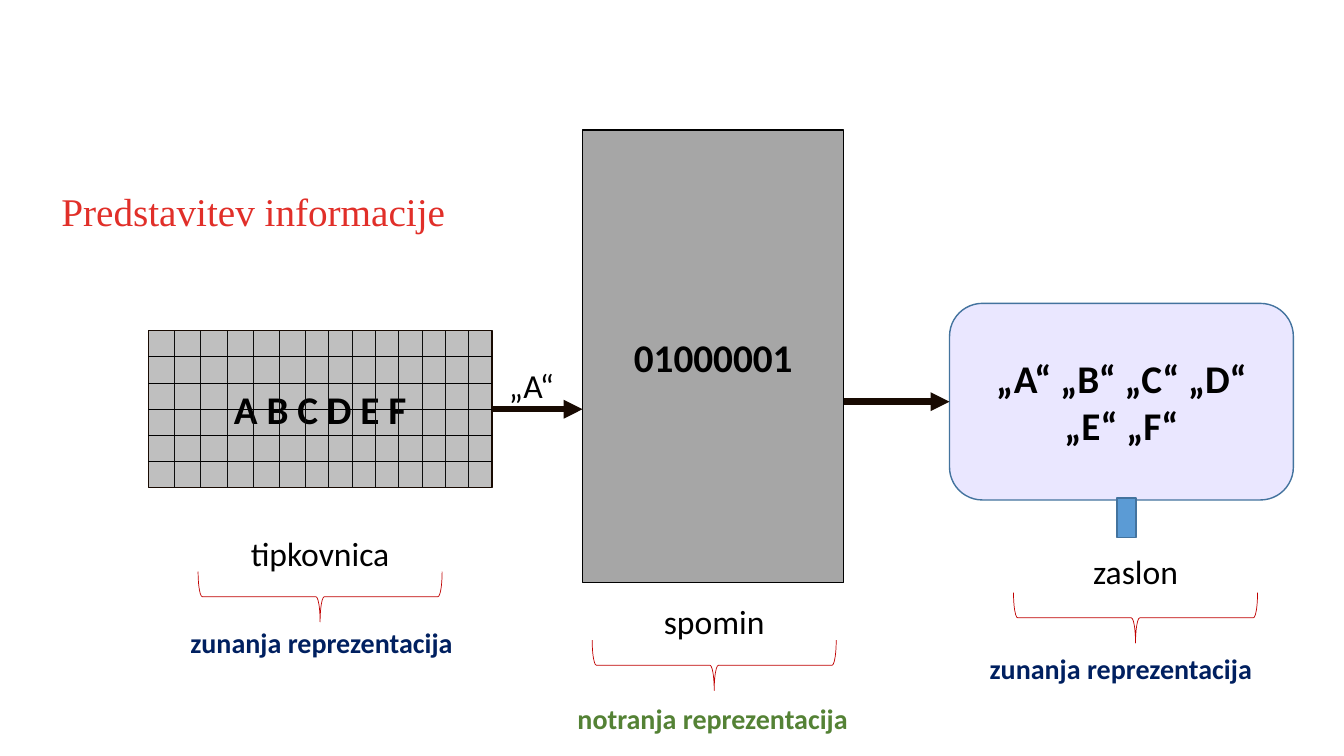
from lxml import etree
from pptx import Presentation
from pptx import util as u
from pptx.dml.color import RGBColor
from pptx.enum import shapes, text
from pptx.oxml.ns import qn

COLORS = {
    "title": "E12F29", "black": "000000", "memory": "A6A6A6", "keyboard": "BFBFBF",
    "screen": "EAE7FF", "stand": "5B9BD5", "edge": "43739E", "dark": "180A02",
    "key": "0D0D0D", "outer": "002060", "inner": "548235", "brace": "C00000",
}
ALIGN = text.PP_ALIGN
KIND = shapes.MSO_SHAPE


class Diagram:
    """Draws styled elements on one slide, placed in percent of its width and height."""

    font = "Calibri"

    def __init__(self, prs):
        self.w, self.h = prs.slide_width, prs.slide_height
        self.s = prs.slides.add_slide(prs.slide_layouts[6])

    def emu(self, *shares):
        return [int(v * (self.h if i % 2 else self.w) / 100) for i, v in enumerate(shares)]

    def color(self, name):
        return RGBColor.from_string(COLORS[name])

    def fill_text(self, sp, words, color="black", align=ALIGN.CENTER, spacing=1.0,
                  anchor=text.MSO_ANCHOR.MIDDLE, **style):
        tf = sp.text_frame
        for name, value in {"word_wrap": True, "vertical_anchor": anchor}.items():
            setattr(tf, name, value)
        p = tf.paragraphs[0]
        for name, value in {"alignment": align, "line_spacing": spacing}.items():
            setattr(p, name, value)
        r = p.add_run()
        r.text = words
        fmt = {"name": self.font, "size": u.Pt(28), "bold": True, **style}
        for name, value in fmt.items():
            setattr(r.font, name, value)
        r.font.color.rgb = self.color(color)

    def label(self, box, words, size=24, **style):
        sp = self.s.shapes.add_textbox(*self.emu(*box))
        fmt = {"bold": False, "anchor": text.MSO_ANCHOR.TOP, **style}
        self.fill_text(sp, words, size=u.Pt(size), **fmt)

    def shape(self, kind, box, line, fill=None, words="", width=1):
        sp = self.s.shapes.add_shape(kind, *self.emu(*box))
        sp.shadow.inherit = False
        if fill:
            sp.fill.solid()
            sp.fill.fore_color.rgb = self.color(fill)
        else:
            sp.fill.background()
        sp.line.color.rgb = self.color(line)
        sp.line.width = u.Pt(width)
        if words:
            self.fill_text(sp, words)
        return sp

    def brace(self, x, y, width, height):
        box = (x - width / 2, y - height / 2, width, height)
        sp = self.shape(KIND.LEFT_BRACE, box, "brace", width=0.5)
        sp.rotation = 270

    def line(self, start, end, color, width=0.5, arrow=False):
        c = self.s.shapes.add_connector(
            shapes.MSO_CONNECTOR.STRAIGHT, *self.emu(*start, *end))
        c.line.color.rgb = self.color(color)
        c.line.width = u.Pt(width)
        if arrow:
            etree.SubElement(c.get_or_add_ln(), qn("a:tailEnd"), type="triangle")
        etree.SubElement(c.element.spPr, qn("a:effectLst"))
        return c

    def key_grid(self, x, y, width, height, wide_keys, wide, narrow_keys, rows):
        split = x + wide_keys * wide
        narrow = (x + width - split) / narrow_keys
        columns = [x + i * wide for i in range(1, wide_keys + 1)]
        columns += [split + i * narrow for i in range(1, narrow_keys)]
        for cx in columns:
            self.line((cx, y), (cx, y + height), "key")
        for i in range(1, rows):
            ry = y + i * height / rows
            self.line((x, ry), (x + width, ry), "black")


def main():
    prs = Presentation()
    prs.slide_width, prs.slide_height = u.Inches(13.33), u.Inches(7.5)
    d = Diagram(prs)

    d.label((3.83, 24.67, 84.83, 7.2), "Predstavitev informacije", 28,
            name="Times New Roman", color="title", align=ALIGN.LEFT, spacing=0.9,
            anchor=text.MSO_ANCHOR.MIDDLE)

    keys = (11.03, 43.73, 25.58, 20.8)
    d.shape(KIND.RECTANGLE, (43.35, 17.2, 19.43, 59.87), "black", "memory", "01000001")
    keyboard = d.shape(KIND.RECTANGLE, keys, "dark", "keyboard", "A B C D E F")
    screen = d.shape(KIND.ROUNDED_RECTANGLE, (70.65, 40.13, 25.58, 26), "edge", "screen",
                     "„A“ „B“ „C“ „D“ „E“ „F“")
    d.key_grid(*keys, wide_keys=6, wide=1.95, narrow_keys=8, rows=6)
    d.shape(KIND.RECTANGLE, (83.1, 65.87, 1.43, 5.2), "edge", "stand")

    devices = [
        ("tipkovnica", 14.78, 69.87, 78.93, "zunanja reprezentacija", 13.43, 82.13, "outer"),
        ("spomin", 44.1, 78.8, 88, "notranja reprezentacija", 42.23, 92.13, "inner"),
        ("zaslon", 75.45, 72.27, 81.73, "zunanja reprezentacija", 72.9, 85.47, "outer"),
    ]
    for device, x, y, brace_y, form, form_x, form_y, color in devices:
        d.label((x, y, 18.08, 6.67), device)
        d.brace(x + 9.04, brace_y, 3.75, 32.27)
        d.label((form_x, form_y, 21.83, 5.87), form, 20, color=color, bold=True,
                align=ALIGN.LEFT)

    d.line((36.61, 54.13), (43.35, 54.13), "dark", 4.5, True).begin_connect(keyboard, 3)
    d.line((62.78, 53.13), (70.65, 53.13), "dark", 4.5, True).end_connect(screen, 1)
    d.label((37.13, 47.6, 6.98, 6.67), "„A“", align=ALIGN.LEFT)

    prs.save("out.pptx")


if __name__ == "__main__":
    main()
